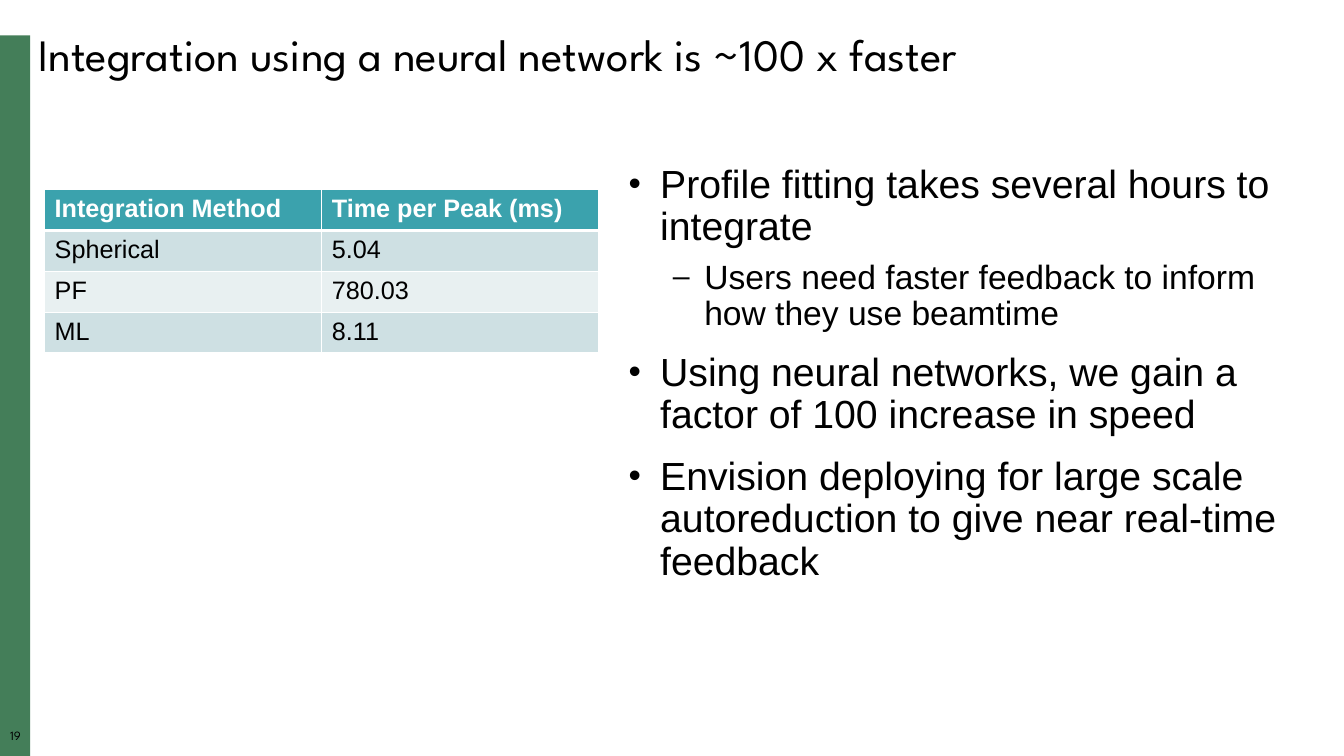
from dataclasses import dataclass

from lxml import etree
from pptx import Presentation
from pptx.dml import color
from pptx.enum import shapes, text
from pptx.oxml import ns
from pptx.util import Pt


@dataclass(frozen=True)
class Theme:
    ink: str = "000000"
    paper: str = "FFFFFF"
    bar: str = "447E59"
    header: str = "3BA2AD"
    bands: tuple[str, str] = ("CEE0E3", "E8F0F1")
    display: str = "League Spartan"
    body: str = "Arial"
    title_size: float = 32
    table_size: float = 18
    number_size: float = 9


@dataclass(frozen=True)
class Box:
    left: float
    top: float
    width: float
    height: float

    def lengths(self) -> tuple[Pt, Pt, Pt, Pt]:
        return Pt(self.left), Pt(self.top), Pt(self.width), Pt(self.height)


@dataclass(frozen=True)
class Level:
    mark: str
    size: float
    margin: float
    space_before: float


@dataclass(frozen=True)
class Point:
    words: str
    level: int = 0


THEME = Theme()
HANGING = 22.5
LEVELS = (Level("•", 28, 22.5, 14), Level("–", 24, 54, 8))
POINTS = (
    Point("Profile fitting takes several hours to integrate"),
    Point("Users need faster feedback to inform how they use beamtime", 1),
    Point("Using neural networks, we gain a factor of 100 increase in speed"),
    Point("Envision deploying for large scale autoreduction to give near real-time feedback"),
)
TIMINGS = (
    ("Integration Method", "Time per Peak (ms)"),
    ("Spherical", "5.04"),
    ("PF", "780.03"),
    ("ML", "8.11"),
)


def add_child(parent, tag: str, **attributes: str):
    return etree.SubElement(parent, ns.qn(tag), attributes)


def style(paragraph, size: float, face: str, ink: str = THEME.ink, bold: bool = False) -> None:
    for run in paragraph.runs:
        run.font.size = Pt(size)
        run.font.name = face
        run.font.bold = bold
        run.font.color.rgb = color.RGBColor.from_string(ink)


def add_frame(slide, box: Box):
    frame = slide.shapes.add_textbox(*box.lengths()).text_frame
    frame.word_wrap = True
    return frame


def add_line(slide, box: Box, words: str, size: float):
    frame = add_frame(slide, box)
    frame.text = words
    frame.paragraphs[0].line_spacing = 0.9
    style(frame.paragraphs[0], size, THEME.display)
    return frame


def add_bar(slide, box: Box) -> None:
    bar = slide.shapes.add_shape(shapes.MSO_SHAPE.RECTANGLE, *box.lengths())
    bar.shadow.inherit = False
    bar.fill.solid()
    bar.fill.fore_color.rgb = color.RGBColor.from_string(THEME.bar)
    bar.line.fill.background()


def add_page_number(slide, box: Box, number: str) -> None:
    frame = add_line(slide, box, number, THEME.number_size)
    frame.margin_left = frame.margin_right = frame.margin_top = frame.margin_bottom = 0
    frame.paragraphs[0].alignment = text.PP_ALIGN.CENTER


def add_bullet(paragraph, level: Level) -> None:
    properties = paragraph._p.get_or_add_pPr()
    properties.set("marL", str(Pt(level.margin)))
    properties.set("indent", str(-Pt(HANGING)))
    add_child(add_child(properties, "a:buClr"), "a:srgbClr", val=THEME.ink)
    add_child(properties, "a:buSzPct", val="90000")
    add_child(properties, "a:buFont", typeface=THEME.body)
    add_child(properties, "a:buChar", char=level.mark)


def add_points(slide, box: Box, points: tuple[Point, ...]) -> None:
    frame = add_frame(slide, box)
    for index, point in enumerate(points):
        level = LEVELS[point.level]
        paragraph = frame.add_paragraph() if index else frame.paragraphs[0]
        paragraph.text = point.words
        paragraph.level = point.level
        add_bullet(paragraph, level)
        paragraph.line_spacing = 0.9
        paragraph.space_before = Pt(level.space_before if index else 0)
        style(paragraph, level.size, THEME.body)


def add_borders(cell, top: float, bottom: float) -> None:
    properties = cell._tc.get_or_add_tcPr()
    for side, width in (("L", 1), ("R", 1), ("T", top), ("B", bottom)):
        border = add_child(properties, f"a:ln{side}", w=str(Pt(width)))
        add_child(add_child(border, "a:solidFill"), "a:srgbClr", val=THEME.paper)


def add_timings(slide, box: Box, timings: tuple[tuple[str, str], ...]) -> None:
    table = slide.shapes.add_table(len(timings), len(timings[0]), *box.lengths()).table
    for row, values in enumerate(timings):
        heading = row == 0
        fill = THEME.header if heading else THEME.bands[(row - 1) % 2]
        for column, value in enumerate(values):
            cell = table.cell(row, column)
            cell.text_frame.text = value
            style(cell.text_frame.paragraphs[0], THEME.table_size, THEME.body,
                  THEME.paper if heading else THEME.ink, heading)
            add_borders(cell, 3 if row == 1 else 1, 3 if heading else 1)
            cell.fill.solid()
            cell.fill.fore_color.rgb = color.RGBColor.from_string(fill)


def main() -> None:
    deck = Presentation()
    deck.slide_width, deck.slide_height = Pt(960), Pt(540)
    slide = deck.slides.add_slide(deck.slide_layouts[6])
    add_bar(slide, Box(0, 25.2, 21.6, 514.8))
    add_page_number(slide, Box(0, 521.3, 22, 12), "19")
    add_line(slide, Box(20.16, 20.16, 906.5, 42.5),
             "Integration using a neural network is ~100 x faster", THEME.title_size)
    add_points(slide, Box(442, 113.8, 486.7, 330.5), POINTS)
    add_timings(slide, Box(31.9, 135.4, 396, 116.8), TIMINGS)
    deck.save("out.pptx")


if __name__ == "__main__":
    main()
